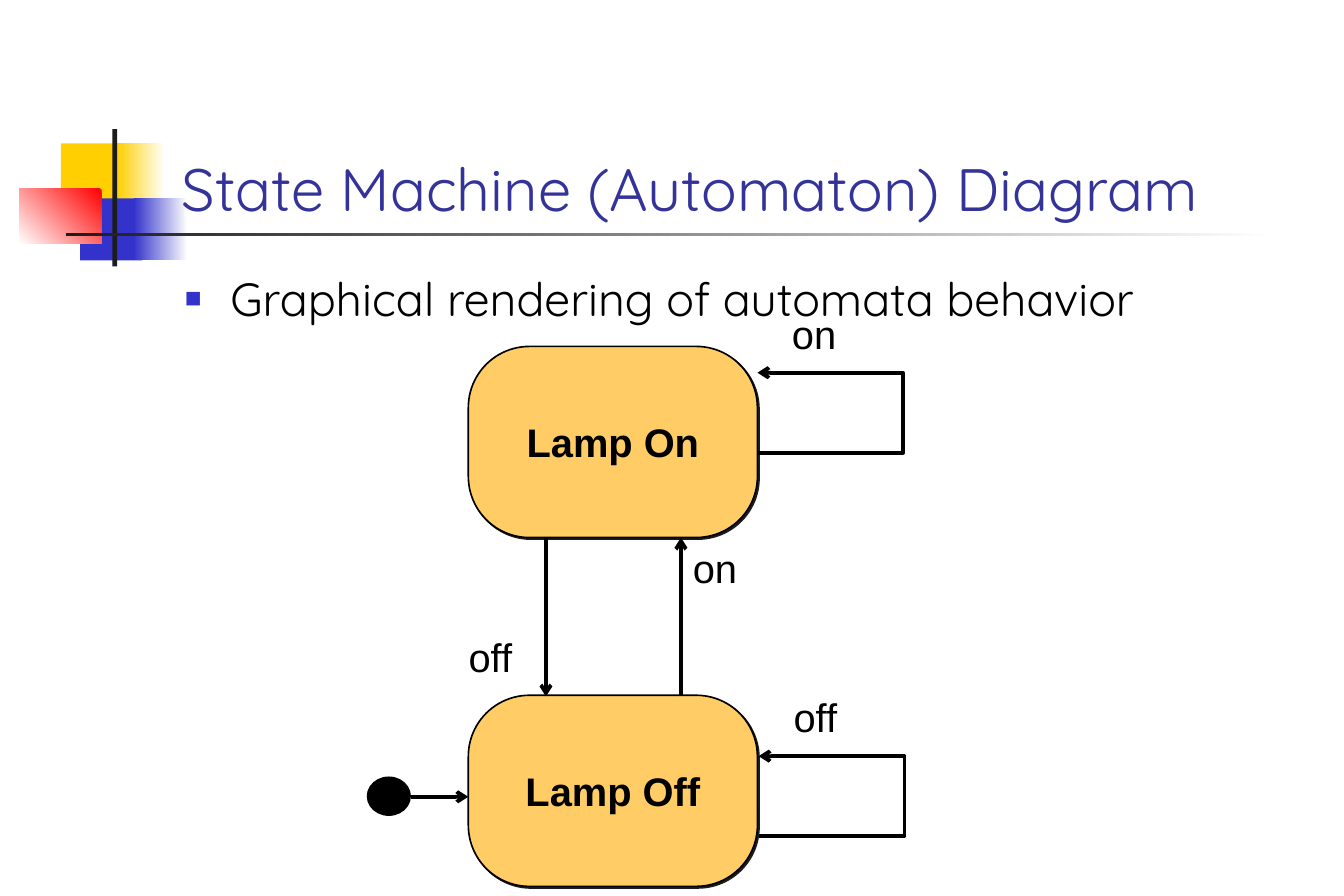
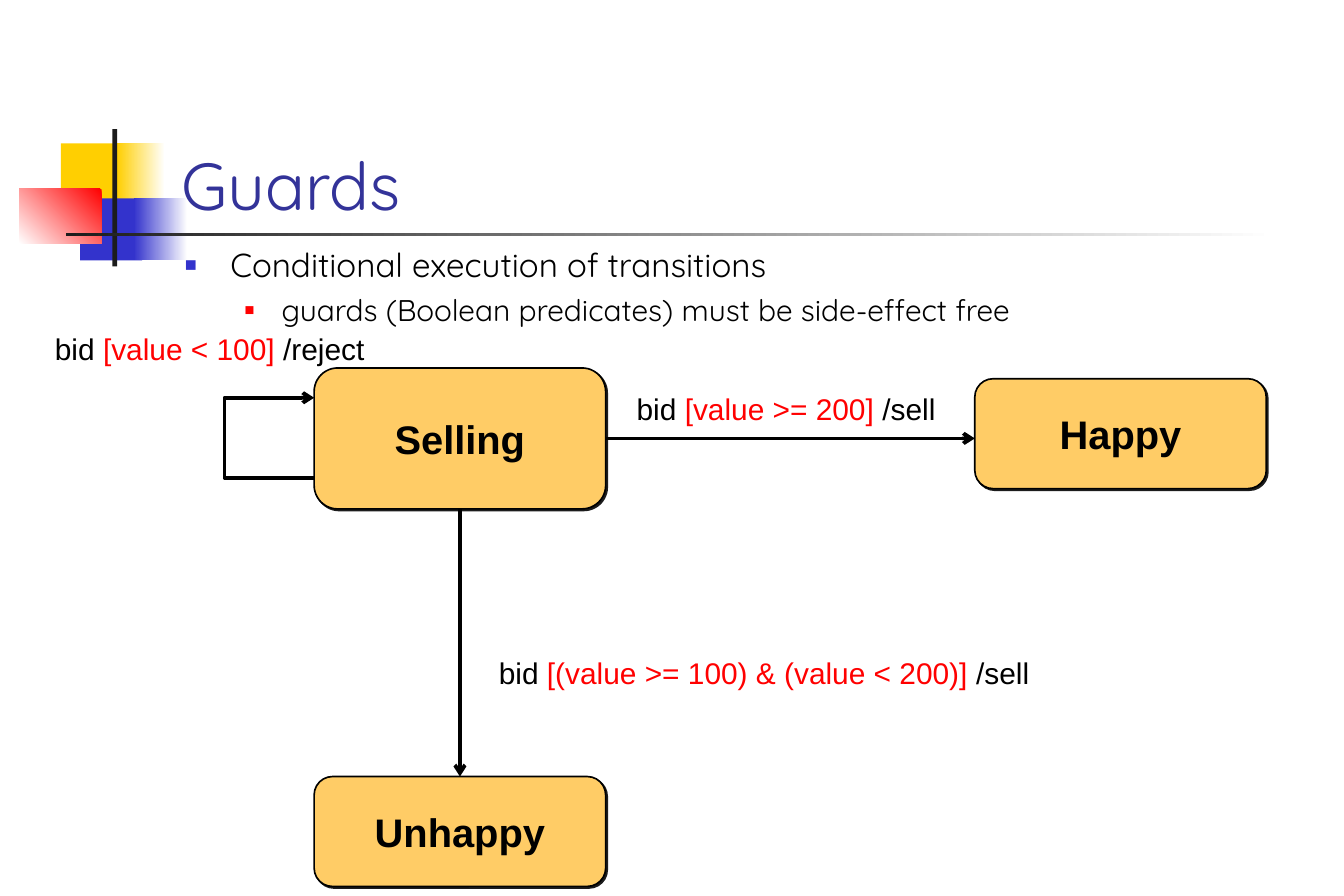
from lxml import etree
from pptx import Presentation
from pptx.dml.color import RGBColor
from pptx.enum.shapes import MSO_CONNECTOR, MSO_SHAPE
from pptx.enum.text import MSO_ANCHOR as Anchor, MSO_AUTO_SIZE as AutoSize, PP_ALIGN as Align
from pptx.oxml.ns import qn
from pptx.util import Pt

EMU_PER_PX = 9144  # 100 px to the inch

BLACK = RGBColor(0x00, 0x00, 0x00)
WHITE = RGBColor(0xFF, 0xFF, 0xFF)
CHARCOAL = RGBColor(0x1C, 0x1C, 0x1C)
NAVY = RGBColor(0x33, 0x33, 0x99)
BLUE = RGBColor(0x33, 0x33, 0xCC)
YELLOW = RGBColor(0xFF, 0xCF, 0x01)
RED = RGBColor(0xFF, 0x00, 0x00)
AMBER = RGBColor(0xFF, 0xCC, 0x66)

# Header emblem and rule: box, colours (two make a gradient), gradient angle
DECORATION = [
    ((51, 120, 54, 52), (YELLOW,), 0),
    ((98, 120, 40, 52), (WHITE, YELLOW), 180),
    ((67, 166, 52, 52), (BLUE,), 0),
    ((112, 166, 45, 52), (WHITE, BLUE), 180),
    ((16, 158, 69, 46), (RED, WHITE), 225),
    ((94, 108, 4, 115), (CHARCOAL,), 0),
    ((55, 195, 1012, 3), (WHITE, CHARCOAL), 180),
]

# Bullet levels: left margin, hanging indent, bullet colour, bullet size in percent
BULLETS = [(38, 38, BLUE, 60), (81, 31, RED, 55)]


def px(*lengths):
    return [round(length * EMU_PER_PX) for length in lengths]


def add_element(parent, tag, **attributes):
    element = etree.SubElement(parent, qn(tag))
    for name, value in attributes.items():
        element.set(name, str(value))
    return element


class Deck:
    heading_font = "Quicksand"
    diagram_font = "Arial"

    def __init__(self, width, height):
        self.presentation = Presentation()
        self.presentation.slide_width, self.presentation.slide_height = px(width, height)
        self.slide = None

    def style(self, run, font_name, size, color=BLACK, bold=False):
        run.font.name = font_name
        run.font.size = Pt(size)
        run.font.color.rgb = color
        run.font.bold = bold

    def new_slide(self, title, size):
        self.slide = self.presentation.slides.add_slide(self.presentation.slide_layouts[5])
        placeholder = self.slide.shapes.title
        for box, colors, angle in DECORATION:
            block = self.block(MSO_SHAPE.RECTANGLE, box, colors, angle)
            placeholder.element.addprevious(block.element)
        (placeholder.left, placeholder.top,
         placeholder.width, placeholder.height) = px(142, 67, 959, 125)
        frame = placeholder.text_frame
        frame.text = title
        frame.auto_size = AutoSize.NONE
        frame.vertical_anchor = Anchor.BOTTOM
        frame.paragraphs[0].alignment = Align.LEFT
        self.style(frame.paragraphs[0].runs[0], self.heading_font, size, NAVY)

    def block(self, kind, box, colors, angle=0):
        shape = self.slide.shapes.add_shape(kind, *px(*box))
        shape.shadow.inherit = False
        shape.line.fill.background()
        if len(colors) == 1:
            shape.fill.solid()
            shape.fill.fore_color.rgb = colors[0]
        else:
            shape.fill.gradient()
            shape.fill.gradient_angle = angle
            for stop, color in zip(shape.fill.gradient_stops, colors):
                stop.color.rgb = color
        return shape

    def bullets(self, top, items):
        """Each item is (level, size, space before, text)."""
        box = self.slide.shapes.add_textbox(*px(145, top, 956, 450))
        frame = box.text_frame
        frame.word_wrap = True
        for index, (level, size, space, text) in enumerate(items):
            paragraph = frame.add_paragraph() if index else frame.paragraphs[0]
            paragraph.text = text
            paragraph.level = level
            margin, hanging, color, percent = BULLETS[level]
            properties = paragraph._p.get_or_add_pPr()
            properties.set("marL", str(px(margin)[0]))
            properties.set("indent", str(px(-hanging)[0]))
            bullet_color = add_element(properties, "a:buClr")
            add_element(bullet_color, "a:srgbClr", val=color)
            add_element(properties, "a:buSzPct", val=percent * 1000)
            add_element(properties, "a:buFont", typeface=self.diagram_font)
            add_element(properties, "a:buChar", char="■")
            paragraph.space_before = Pt(space)
            self.style(paragraph.runs[0], self.heading_font, size)

    def state(self, name, box, rounding):
        shape = self.block(MSO_SHAPE.ROUNDED_RECTANGLE, box, (AMBER,))
        shape.adjustments[0] = rounding
        shape.line.color.rgb = BLACK
        shape.line.width = Pt(1)
        effects = shape.element.spPr.find(qn("a:effectLst"))
        shadow = add_element(effects, "a:outerShdw", blurRad=0, dist=Pt(1.4),
                             dir=45 * 60000, algn="ctr", rotWithShape=0)
        add_element(shadow, "a:srgbClr", val=CHARCOAL)
        frame = shape.text_frame
        frame.text = name
        frame.vertical_anchor = Anchor.MIDDLE
        frame.paragraphs[0].alignment = Align.CENTER
        self.style(frame.paragraphs[0].runs[0], self.diagram_font, 24, bold=True)
        return shape

    def arrow_line(self, shape):
        shape.line.color.rgb = BLACK
        shape.line.width = Pt(2.25)
        add_element(shape.line._get_or_add_ln(), "a:tailEnd", type="arrow")

    def arrow(self, start, end, begin_at=None, end_at=None):
        """begin_at and end_at are (shape, side) pairs to join."""
        connector = self.slide.shapes.add_connector(MSO_CONNECTOR.STRAIGHT, *px(*start, *end))
        if begin_at:
            connector.begin_connect(*begin_at)
        if end_at:
            connector.end_connect(*end_at)
        self.arrow_line(connector)
        add_element(connector.element.spPr, "a:effectLst")

    def self_loop(self, edge, outer, top, bottom):
        builder = self.slide.shapes.build_freeform(*px(edge, bottom))
        corners = [(outer, bottom), (outer, top), (edge, top)]
        builder.add_line_segments([px(*corner) for corner in corners], close=False)
        loop = builder.convert_to_shape()
        loop.shadow.inherit = False
        loop.fill.background()
        self.arrow_line(loop)

    def label(self, box, size, *parts):
        """Parts alternate between plain black and guard red."""
        frame = self.slide.shapes.add_textbox(*px(*box)).text_frame
        frame.word_wrap = False
        frame.vertical_anchor = Anchor.MIDDLE
        paragraph = frame.paragraphs[0]
        paragraph.alignment = Align.CENTER
        for index, text in enumerate(parts):
            run = paragraph.add_run()
            run.text = text
            self.style(run, self.diagram_font, size, RED if index % 2 else BLACK)


def lamp_slide(deck):
    deck.new_slide("State Machine (Automaton) Diagram", 36)
    deck.bullets(221, [(0, 28, 0, "Graphical rendering of automata behavior")])

    # States and initial marker
    for name, top in (("Lamp On", 290), ("Lamp Off", 582)):
        deck.state(name, (392, top, 242, 160), 0.32)
    deck.block(MSO_SHAPE.OVAL, (307, 650, 37, 33), (BLACK,))

    # Transitions
    deck.arrow((344, 667), (392, 667))
    deck.arrow((457, 450), (457, 583))
    deck.arrow((570, 583), (570, 450))
    deck.self_loop(634, 756, 312, 379)
    deck.self_loop(635, 757, 633, 700)
    for text, left, top in (("on", 653, 254), ("on", 570, 450),
                            ("off", 382, 525), ("off", 654, 575)):
        deck.label((left, top, 57, 50), 24, text)


def guards_slide(deck):
    deck.new_slide("Guards", 40)
    deck.bullets(200, [
        (0, 20, 0, "Conditional execution of transitions"),
        (1, 18, 4.5, "guards (Boolean predicates) must be side-effect free"),
    ])

    # States
    selling = deck.state("Selling", (263, 308, 244, 118), 0.167)
    unhappy = deck.state("Unhappy", (263, 650, 244, 92), 0.167)
    deck.state("Happy", (816, 317, 244, 92), 0.167)

    # Transitions
    deck.arrow((385, 426), (385, 650), (selling, 2), (unhappy, 0))
    deck.arrow((507, 367), (816, 367), (selling, 3))
    deck.self_loop(263, 188, 333, 400)
    deck.label((404, 543, 471, 40), 18, "bid ", "[(value >= 100) & (value < 200)] ", "/sell")
    deck.label((523, 322, 270, 40), 18, "bid ", "[value >= 200] ", "/sell")
    deck.label((36, 272, 279, 40), 18, "bid ", "[value < 100] ", "/reject")


def main():
    deck = Deck(1125, 750)
    lamp_slide(deck)
    guards_slide(deck)
    deck.presentation.save("out.pptx")


if __name__ == "__main__":
    main()
